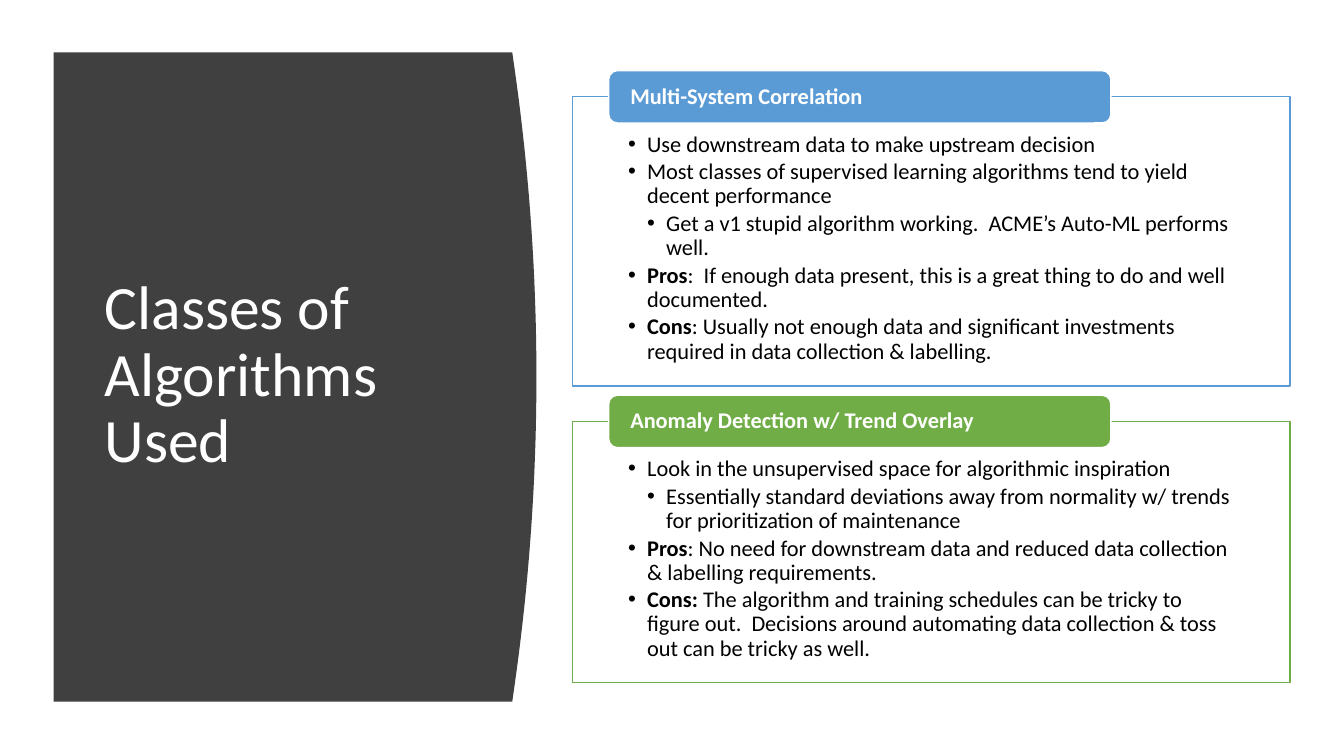
from pptx import Presentation
from pptx.dml.color import RGBColor
from pptx.enum.shapes import MSO_SHAPE as Shape
from pptx.enum.text import MSO_ANCHOR as Anchor
from pptx.util import Cm, Pt
from lxml.etree import SubElement
from pptx.oxml.ns import qn

WHITE = RGBColor(0xFF, 0xFF, 0xFF)
BLACK = RGBColor(0, 0, 0)
DARK = RGBColor(0x40, 0x40, 0x40)
BLUE = RGBColor(0x5B, 0x9B, 0xD5)
GREEN = RGBColor(0x70, 0xAD, 0x47)
FONT = "Calibri"
INDENT = 0.48  # cm per bullet level

TITLE = "Classes of Algorithms Used"
# Each point: level, bold lead, text
MULTI = [
    (1, "", "Use downstream data to make upstream decision"),
    (1, "", "Most classes of supervised learning algorithms tend to yield decent performance"),
    (2, "", "Get a v1 stupid algorithm working.  ACME’s Auto-ML performs well."),
    (1, "Pros", ":  If enough data present, this is a great thing to do and well documented."),
    (1, "Cons", ": Usually not enough data and significant investments required in "
                "data collection & labelling."),
]
ANOMALY = [
    (1, "", "Look in the unsupervised space for algorithmic inspiration"),
    (2, "", "Essentially standard deviations away from normality w/ trends "
            "for prioritization of maintenance"),
    (1, "Pros", ": No need for downstream data and reduced data collection "
                "& labelling requirements."),
    (1, "Cons: ", "The algorithm and training schedules can be tricky to figure out.  "
                  "Decisions around automating data collection & toss out can be tricky as well."),
]


def write(para, text, size=16, color=BLACK, bold=False):
    """Add one run of formatted text to a paragraph."""
    para.line_spacing = 0.9
    run = para.add_run()
    run.text = text
    font = run.font
    font.name, font.size, font.bold = FONT, Pt(size), bold
    font.color.rgb = color


def bullet(para, level):
    """Give a paragraph a hanging bullet."""
    para.level = level
    para.space_after = Pt(2.4)
    props = para._p.get_or_add_pPr()
    props.set("marL", str(Cm(INDENT * level)))
    props.set("indent", str(-Cm(INDENT)))
    SubElement(props, qn("a:buFont")).set("typeface", "Arial")
    SubElement(props, qn("a:buChar")).set("char", "•")


def frame(shape, anchor, left, top, right, bottom):
    """Set up a text frame with insets in cm; return it."""
    body = shape.text_frame
    body.word_wrap = True
    body.vertical_anchor = anchor
    body.margin_left, body.margin_top = Cm(left), Cm(top)
    body.margin_right, body.margin_bottom = Cm(right), Cm(bottom)
    return body


def block(slide, kind, box, fill, line):
    """Add a filled preset shape with a thin outline."""
    shape = slide.shapes.add_shape(kind, *map(Cm, box))
    shape.shadow.inherit = False
    shape.fill.solid()
    shape.fill.fore_color.rgb = fill
    shape.line.color.rgb = line
    shape.line.width = Pt(1)
    return shape


def banner(slide, box, bulge=0.61, steps=40):
    """Dark title area whose right edge bows outwards."""
    x, y, wide, high = box
    edge = x + wide - bulge
    # Parabola: widest at mid height
    curve = []
    for i in range(steps + 1):
        part = i / steps
        curve.append((Cm(edge + bulge * 4 * part * (1 - part)), Cm(y + high * part)))
    path = slide.shapes.build_freeform(Cm(x), Cm(y))
    path.add_line_segments(curve + [(Cm(x), Cm(y + high))], close=True)
    area = path.convert_to_shape()
    area.shadow.inherit = False
    area.fill.solid()
    area.fill.fore_color.rgb = DARK
    area.line.fill.background()

    # Title
    label = slide.shapes.add_textbox(Cm(x + 1.04), Cm(y + 1.5), Cm(9.5), Cm(high - 3.04))
    body = frame(label, Anchor.MIDDLE, 0.25, 0.13, 0.25, 0.13)
    write(body.paragraphs[0], TITLE, size=44, color=WHITE)


def panel(slide, box, color, head, points):
    """Outlined list with a coloured tab over its top edge."""
    x, y, wide, high = box
    # List
    card = block(slide, Shape.RECTANGLE, box, WHITE, color)
    body = frame(card, Anchor.TOP, 1.4, 0.91, 1.4, 0.3)
    for i, (level, lead, text) in enumerate(points):
        para = body.add_paragraph() if i else body.paragraphs[0]
        para.alignment = 1
        bullet(para, level)
        if lead:
            write(para, lead, bold=True)
        write(para, text)

    # Tab
    tab = block(slide, Shape.ROUNDED_RECTANGLE, (x + 0.91, y - 0.66, wide * 0.7, 1.32),
                color, WHITE)
    para = frame(tab, Anchor.MIDDLE, 0.48, 0, 0.48, 0).paragraphs[0]
    para.alignment = 1
    write(para, head, color=WHITE, bold=True)


def main():
    deck = Presentation()
    deck.slide_width, deck.slide_height = Cm(33.87), Cm(19.05)
    slide = deck.slides.add_slide(deck.slide_layouts[6])
    banner(slide, (1.35, 1.32, 12.17, 16.36))
    panel(slide, (14.43, 2.44, 18.08, 7.29), BLUE, "Multi-System Correlation", MULTI)
    panel(slide, (14.43, 10.62, 18.08, 6.58), GREEN,
          "Anomaly Detection w/ Trend Overlay", ANOMALY)
    deck.save("out.pptx")


if __name__ == "__main__":
    main()
